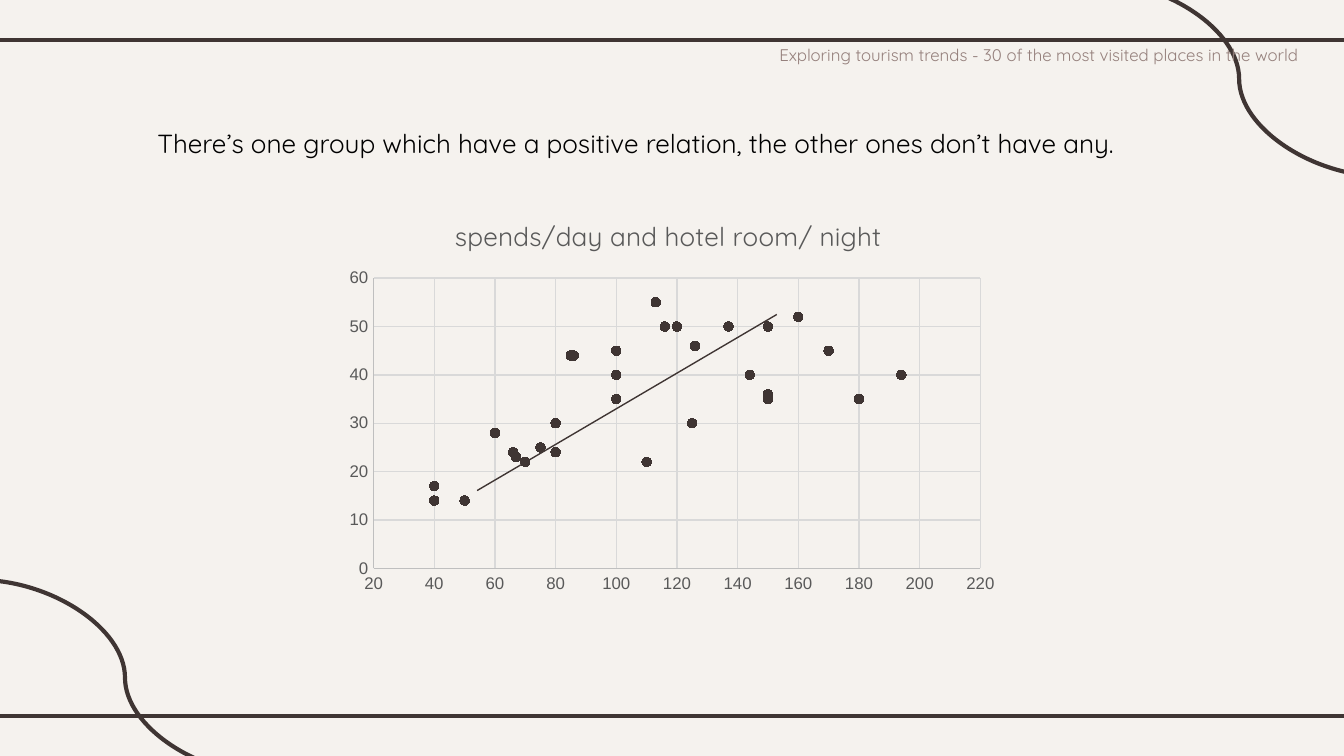
from dataclasses import dataclass

from lxml.etree import SubElement
from pptx import Presentation
from pptx.chart.data import XyChartData
from pptx.dml.color import RGBColor
from pptx.enum.chart import XL_CHART_TYPE, XL_MARKER_STYLE, XL_TICK_MARK
from pptx.enum.shapes import MSO_CONNECTOR
from pptx.enum.text import MSO_ANCHOR, MSO_AUTO_SIZE, PP_ALIGN
from pptx.oxml import parse_xml
from pptx.oxml.ns import nsdecls, qn
from pptx.util import Inches, Pt

CELL = Inches(0.1)
COLUMNS, ROWS = 100, 56.25

HOTEL_BY_SPENDING = [
    (75, 25), (170, 45), (150, 35), (110, 22), (100, 45), (194, 40),
    (116, 50), (80, 24), (180, 35), (144, 40), (113, 55), (60, 28),
    (160, 52), (85, 44), (67, 23), (100, 40), (125, 30), (150, 36),
    (66, 24), (137, 50), (100, 35), (126, 46), (80, 30), (150, 50),
    (40, 14), (120, 50), (40, 17), (86, 44), (50, 14), (70, 22),
]


@dataclass(frozen=True)
class Theme:
    background: RGBColor = RGBColor.from_string("F5F2EE")
    ink: RGBColor = RGBColor.from_string("3F3533")
    headline: RGBColor = RGBColor.from_string("000000")
    header: RGBColor = RGBColor.from_string("95807C")
    chart_text: RGBColor = RGBColor.from_string("595959")
    axis: RGBColor = RGBColor.from_string("BFBFBF")
    grid: RGBColor = RGBColor.from_string("D9D9D9")
    font: str = "Quicksand"
    axis_font: str = "Arial"
    headline_size: int = 14
    small_size: int = 9
    thick: float = 2.25
    thin: float = 0.75
    marker_size: int = 5


def grid_lengths(*cells):
    return [round(cell * CELL) for cell in cells]


def format_font(font, name, size, color):
    font.name, font.size, font.bold = name, Pt(size), False
    font.color.rgb = color


def write_text(frame, text, **style):
    paragraph = frame.paragraphs[0]
    paragraph.alignment = style.pop("alignment", PP_ALIGN.LEFT)
    run = paragraph.add_run()
    run.text = text
    format_font(run.font, **style)


def style_line(line, color, width):
    line.color.rgb, line.width = color, Pt(width)


def place_in_chart(parent, index, **shares):
    for layout in parent.findall(qn("c:layout")):
        parent.remove(layout)
    layout = parse_xml(f"<c:layout {nsdecls('c')}><c:manualLayout/></c:layout>")
    for name, value in shares.items():
        SubElement(layout[0], qn(f"c:{name}"), val=str(value))
    parent.insert(index, layout)


class SlideBuilder:
    """Draws styled elements on the current slide, measured in grid cells."""

    def __init__(self, presentation, theme):
        self.theme = theme
        self.slide = presentation.slides.add_slide(presentation.slide_layouts[5])
        fill = self.slide.background.fill
        fill.solid()
        fill.fore_color.rgb = theme.background

    def prepare_frame(self, shape):
        frame = shape.text_frame
        frame.word_wrap = True
        frame.auto_size = MSO_AUTO_SIZE.NONE
        frame.vertical_anchor = MSO_ANCHOR.TOP
        return frame

    def title(self, text, *box):
        shape = self.slide.shapes.title
        shape.left, shape.top, shape.width, shape.height = grid_lengths(*box)
        write_text(self.prepare_frame(shape), text, name=self.theme.font,
                   size=self.theme.headline_size, color=self.theme.headline)

    def header(self, text, *box):
        shape = self.slide.shapes.add_textbox(*grid_lengths(*box))
        write_text(self.prepare_frame(shape), text, name=self.theme.font,
                   size=self.theme.small_size, color=self.theme.header)

    def line(self, *ends, kind=MSO_CONNECTOR.STRAIGHT, width=None):
        connector = self.slide.shapes.add_connector(kind, *grid_lengths(*ends))
        style_line(connector.line, self.theme.ink, width or self.theme.thick)
        SubElement(connector.element.spPr, qn("a:effectLst"))

    def curve(self, left, top):
        self.line(left, top, left + 21.8, top + 14.55, kind=MSO_CONNECTOR.CURVE)

    def axis(self, axis, minimum, maximum, step):
        theme = self.theme
        axis.minimum_scale, axis.maximum_scale = minimum, maximum
        axis.major_unit = step
        axis.major_tick_mark = axis.minor_tick_mark = XL_TICK_MARK.NONE
        axis.has_major_gridlines = True
        style_line(axis.major_gridlines.format.line, theme.grid, theme.thin)
        style_line(axis.format.line, theme.axis, theme.thin)
        format_font(axis.tick_labels.font, theme.axis_font, theme.small_size,
                    theme.chart_text)

    def scatter(self, title, points, left, top, width, height):
        theme = self.theme
        data = XyChartData()
        data_series = data.add_series("Series 1")
        for spending, hotel in points:
            data_series.add_data_point(spending, hotel)
        chart = self.slide.shapes.add_chart(
            XL_CHART_TYPE.XY_SCATTER,
            *grid_lengths(left, top, width, height), data).chart
        chart.has_legend = False
        chart.has_title = True
        write_text(chart.chart_title.text_frame, title, name=theme.font,
                   size=theme.headline_size, color=theme.chart_text,
                   alignment=PP_ALIGN.CENTER)
        place_in_chart(chart.chart_title.element, 1, xMode="edge", yMode="edge",
                       x=8.5 / width, y=1.05 / height)
        plot_area = chart.element.find(".//" + qn("c:plotArea"))
        place_in_chart(plot_area, 0, layoutTarget="inner",
                       xMode="edge", yMode="edge", x=2.8 / width,
                       y=6 / height, w=45.15 / width, h=21.6 / height)
        self.axis(chart.category_axis, 20, 220, 20)
        self.axis(chart.value_axis, 0, 60, 10)
        plot = chart.plots[0]
        plot.vary_by_categories = False
        series = plot.series[0]
        series.format.line.fill.background()
        marker = series.marker
        marker.style, marker.size = XL_MARKER_STYLE.CIRCLE, theme.marker_size
        marker.format.fill.solid()
        marker.format.fill.fore_color.rgb = theme.ink
        style_line(marker.format.line, theme.ink, theme.thin)


def main():
    presentation = Presentation()
    presentation.slide_width, presentation.slide_height = grid_lengths(COLUMNS, ROWS)
    theme = Theme()
    builder = SlideBuilder(presentation, theme)
    for row in (3, ROWS - 2.95):
        builder.line(-0.8, row, COLUMNS + 0.8, row)
    builder.curve(81.3, -1.4)
    builder.curve(-1.6, 43.15)
    builder.title("There’s one group which have a positive relation, "
                  "the other ones don’t have any.", 10.7, 9, 78.5, 5.7)
    builder.scatter("spends/day and hotel room/ night", HOTEL_BY_SPENDING,
                    25, 14.7, 50, 30)
    builder.line(35.5, 36.5, 57.8, 23.4, width=theme.thin)
    builder.header("Exploring tourism trends - 30 of the most visited places "
                   "in the world", 57, 2.85, 43, 4.2)
    presentation.save("out.pptx")


if __name__ == "__main__":
    main()
